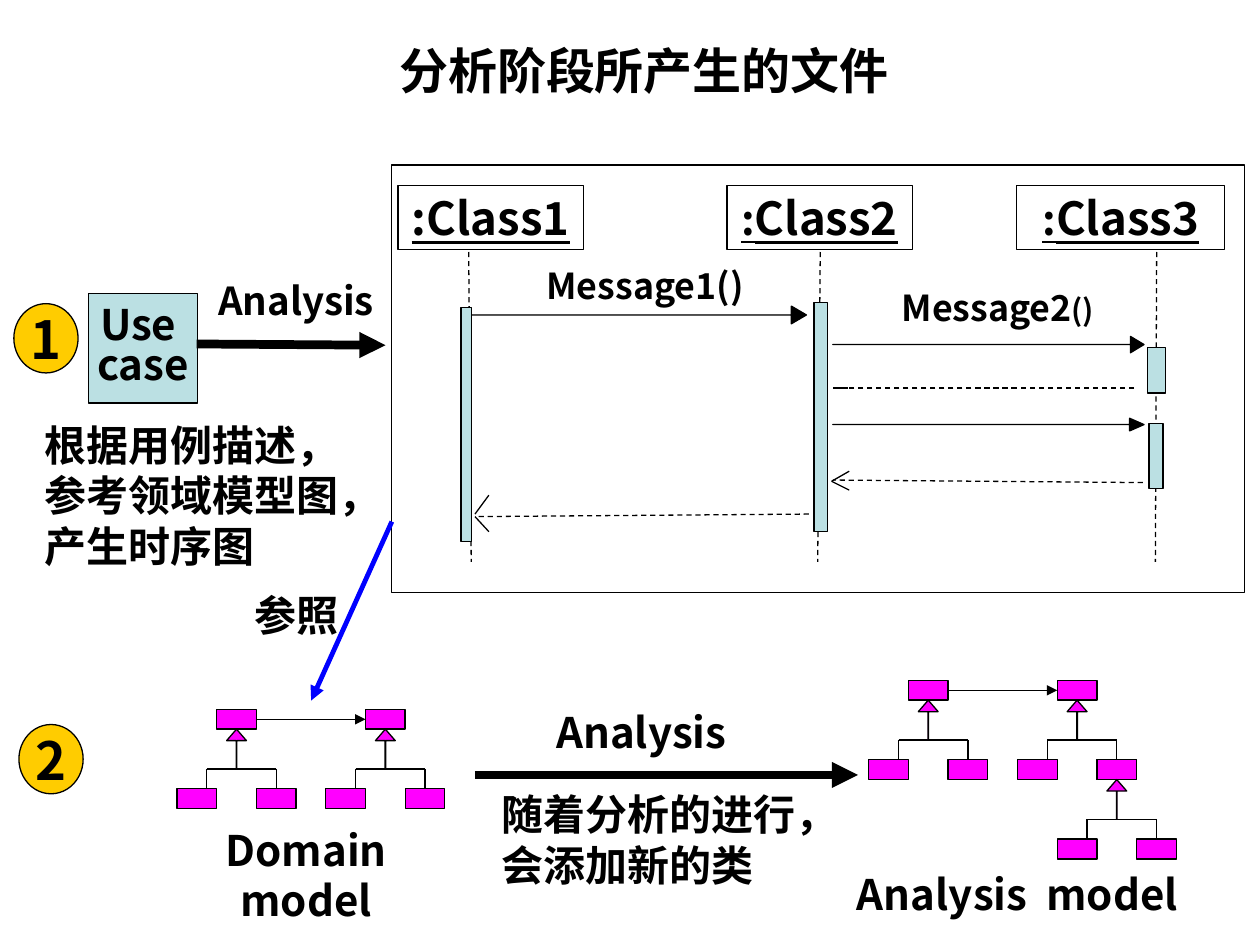
from dataclasses import dataclass

import lxml.etree
import pptx
import pptx.dml.color
import pptx.enum.dml
import pptx.enum.shapes
import pptx.enum.text
import pptx.oxml.ns
import pptx.util

Color = pptx.dml.color.RGBColor
Shape = pptx.enum.shapes.MSO_SHAPE
Align = pptx.enum.text.PP_ALIGN
Anchor = pptx.enum.text.MSO_ANCHOR
qn = pptx.oxml.ns.qn

FONT = "Noto Sans CJK SC"
BLACK = Color(0x00, 0x00, 0x00)
WHITE = Color(0xFF, 0xFF, 0xFF)
BLUE = Color(0x00, 0x00, 0xFF)
TEAL = Color(0xBB, 0xE0, 0xE3)
GOLD = Color(0xFF, 0xCC, 0x00)
MAGENTA = Color(0xFF, 0x00, 0xFF)

# The slide is a grid of 100 columns by 75 rows
CELL = pptx.util.Inches(0.1)
# Class trees use a finer grid; a class is two cells wide and one high
TREE_CELL = 1.575
TREE_GAP = 7.5

Wording = list[tuple[str, float]]


@dataclass
class Box:
    col: float
    row: float
    cols: float
    rows: float

    def emu(self) -> list[int]:
        return [round(v * CELL) for v in (self.col, self.row, self.cols, self.rows)]


@dataclass
class Label:
    box: Box
    wording: Wording
    align: Align = Align.CENTER
    anchor: Anchor = Anchor.TOP
    spacing: float = 1.0
    wrap: bool = True
    inset: float = 0


@dataclass
class Line:
    start: tuple[float, float]
    end: tuple[float, float]
    color: Color = BLACK
    width: float = 0.75
    dashed: bool = False
    arrow: bool = False


def write(frame, wording: Wording, align=Align.CENTER, anchor=Anchor.MIDDLE, spacing=1.0,
          wrap=True, inset: tuple[float, float] = (0, 0), underline=False) -> None:
    frame.word_wrap = wrap
    frame.vertical_anchor = anchor
    frame.margin_left = frame.margin_right = round(inset[0] * CELL)
    frame.margin_top = frame.margin_bottom = round(inset[1] * CELL)
    frame.text = wording[0][0]
    sizes = [wording[0][1]] * len(frame.paragraphs)
    for text, size in wording[1:]:
        frame.paragraphs[-1].add_run().text = text
        sizes.append(size)
    for paragraph in frame.paragraphs:
        paragraph.alignment = align
        paragraph.line_spacing = spacing
    runs = [run for paragraph in frame.paragraphs for run in paragraph.runs]
    for run, size in zip(runs, sizes):
        font = run.font
        font.name, font.size, font.bold = FONT, pptx.util.Pt(size), True
        font.color.rgb = BLACK
        if underline:
            font.underline = True
        east_asian = lxml.etree.Element(qn("a:ea"), typeface=FONT)
        run._r.rPr.find(qn("a:latin")).addnext(east_asian)


def draw_label(shapes, label: Label) -> None:
    frame = shapes.add_textbox(*label.box.emu()).text_frame
    write(frame, label.wording, label.align, label.anchor, label.spacing,
          label.wrap, (0, label.inset))


def draw_shape(shapes, kind: Shape, box: Box, fill: Color | None,
               adjustments: tuple[float, ...] = ()):
    shape = shapes.add_shape(kind, *box.emu())
    shape.shadow.inherit = False
    if fill is None:
        shape.fill.background()
    else:
        shape.fill.solid()
        shape.fill.fore_color.rgb = fill
    shape.line.color.rgb = BLACK
    shape.line.width = pptx.util.Pt(0.75)
    for index, value in enumerate(adjustments):
        shape.adjustments[index] = value
    return shape


def draw_line(shapes, line: Line) -> None:
    ends = [round(v * CELL) for v in (*line.start, *line.end)]
    connector = shapes.add_connector(pptx.enum.shapes.MSO_CONNECTOR.STRAIGHT, *ends)
    connector.line.color.rgb = line.color
    connector.line.width = pptx.util.Pt(line.width)
    if line.dashed:
        connector.line.dash_style = pptx.enum.dml.MSO_LINE.DASH
    properties = connector._element.spPr
    if line.arrow:
        lxml.etree.SubElement(properties.find(qn("a:ln")), qn("a:tailEnd"), type="triangle")
    lxml.etree.SubElement(properties, qn("a:effectLst"))


def draw_tree(shapes, col: float, row: float) -> None:
    """A parent class at (col, row) with two subclasses below it."""
    u = TREE_CELL
    for across, down in ((0, 0), (-2, 4), (2, 4)):
        draw_shape(shapes, Shape.RECTANGLE, Box(col + across * u, row + down * u, 2 * u, u), MAGENTA)
    bar, left, right = row + 3 * u, col - 0.5 * u, col + 3 * u
    draw_line(shapes, Line((left, bar), (right, bar)))
    for branch in (left, right):
        draw_line(shapes, Line((branch, bar), (branch, bar + u)))
    draw_shape(shapes, Shape.UP_ARROW, Box(col + u / 2, row + u, u, 2 * u), MAGENTA, (0.03, 0.58))


def draw_model(shapes, col: float, row: float, extended: bool) -> None:
    """Two linked class trees; the extended one grows a third."""
    u = TREE_CELL
    second = col + TREE_GAP * u
    draw_tree(shapes, col, row)
    draw_tree(shapes, second, row)
    draw_line(shapes, Line((col + 2 * u, row + u / 2), (second, row + u / 2), arrow=True))
    if extended:
        draw_tree(shapes, second + 2 * u, row + 4 * u)


def main() -> None:
    deck = pptx.Presentation()
    deck.slide_width, deck.slide_height = 100 * CELL, 75 * CELL
    slide = deck.slides.add_slide(deck.slide_layouts[5])
    shapes = slide.shapes

    # Title
    title = shapes.title
    title.left, title.top, title.width, title.height = Box(23.9, 2.1, 54.4, 6.9).emu()
    write(title.text_frame, [("分析阶段所产生的文件", 28)])

    # Use case and step numbers
    use_case = draw_shape(shapes, Shape.RECTANGLE, Box(7, 23.3, 8.7, 8.7), TEAL)
    write(use_case.text_frame, [("Use \ncase", 24)], spacing=0.8, wrap=False, inset=(0, 0.5))
    for number, col, row in (("1", 1.1, 24.1), ("2", 1.5, 57.5)):
        step = draw_shape(shapes, Shape.OVAL, Box(col, row, 5.1, 5.5), GOLD)
        write(step.text_frame, [(number, 30)], wrap=False, inset=(1, 0.5))

    # Domain model and analysis model
    for col, row, extended in ((17.2, 56.3, False), (72.1, 54, True)):
        draw_model(shapes.add_group_shape().shapes, col, row, extended)

    # Sequence diagram: frame, lifelines, class heads, activations
    draw_shape(shapes, Shape.RECTANGLE, Box(31.1, 13.1, 67.7, 33.9), None)
    for top, bottom in ((37.2, 37.4), (65.1, 64.9), (91.8, 91.7)):
        draw_line(shapes, Line((top, 20), (bottom, 44.6), dashed=True))
    for col, cols, wording in ((31.6, 14.7, [(":Class1", 26)]),
                               (57.7, 14.7, [(":", 24), ("Class2", 26)]),
                               (80.7, 16.5, [(":", 24), ("Class3", 26)])):
        head = draw_shape(shapes, Shape.RECTANGLE, Box(col, 14.7, cols, 5.1), WHITE)
        write(head.text_frame, wording, inset=(0.6, 0.3), underline=True)
    for activation in (Box(64.6, 24, 1.1, 18.2), Box(91.2, 33.6, 1.1, 5.2),
                       Box(91.1, 27.6, 1.4, 3.6)):
        draw_shape(shapes, Shape.RECTANGLE, activation, TEAL)

    # Messages and their returns
    for call, head_length in ((Box(66.1, 26.7, 24.7, 1.3), 0.83),
                              (Box(66.1, 33.2, 24.7, 1), 1.14),
                              (Box(37.2, 24.3, 26.8, 1.4), 0.85)):
        draw_shape(shapes, Shape.RIGHT_ARROW, call, BLACK, (0, head_length))
    returns = (
        (Line((90, 30.8), (66.1, 30.8), dashed=True), Line((67.3, 30.8), (66.1, 30.8))),
        (Line((90.7, 38.3), (66.1, 38.1), dashed=True),
         Line((67.4, 38.9), (66, 38.2)), Line((67.4, 37.4), (66, 38.2))),
        (Line((64.2, 40.8), (37.9, 41), dashed=True),
         Line((38.8, 42.2), (37.7, 41)), Line((38.8, 39.3), (37.7, 40.8))),
    )
    for strokes in returns:
        group = shapes.add_group_shape()
        for stroke in strokes:
            draw_line(group.shapes, stroke)
    draw_shape(shapes, Shape.RECTANGLE, Box(36.6, 24.4, 0.8, 18.6), TEAL)

    # Flow arrows
    for flow in (Line((15.6, 27.3), (30.6, 27.4), width=5, arrow=True),
                 Line((37.7, 61.5), (68.1, 61.5), width=5, arrow=True),
                 Line((31.1, 41.4), (24.7, 55.6), BLUE, 2.75, arrow=True)):
        draw_line(shapes, flow)

    # Labels
    for label in (
        Label(Box(17.2, 21.8, 12.6, 4.5), [("Analysis", 22)], anchor=Anchor.MIDDLE, spacing=0.9, wrap=False),
        Label(Box(44, 56.1, 13.8, 4.5), [("Analysis", 24)], anchor=Anchor.MIDDLE, spacing=0.9, wrap=False),
        Label(Box(39.8, 21.3, 22.8, 3.6), [("Message1()", 20.4)], spacing=0.9),
        Label(Box(67.7, 23.1, 23, 3.4), [("Message2", 20.4), ("()", 17)], spacing=0.9),
        Label(Box(12.5, 65.4, 23.6, 8), [("Domain model", 24)]),
        Label(Box(65.8, 68.9, 29.9, 4), [("Analysis  model", 24)]),
        Label(Box(3.5, 32.8, 24.7, 13), [("根据用例描述，参考领域模型图，产生时序图", 24)], Align.LEFT, inset=0.5),
        Label(Box(20.2, 46.8, 7.1, 4), [("参照", 24)], Align.LEFT),
        Label(Box(39.8, 62.1, 25.2, 9), [("随着分析的进行，\n会添加新的类", 24)], Align.LEFT, inset=0.5),
    ):
        draw_label(shapes, label)

    deck.save("out.pptx")


if __name__ == "__main__":
    main()
